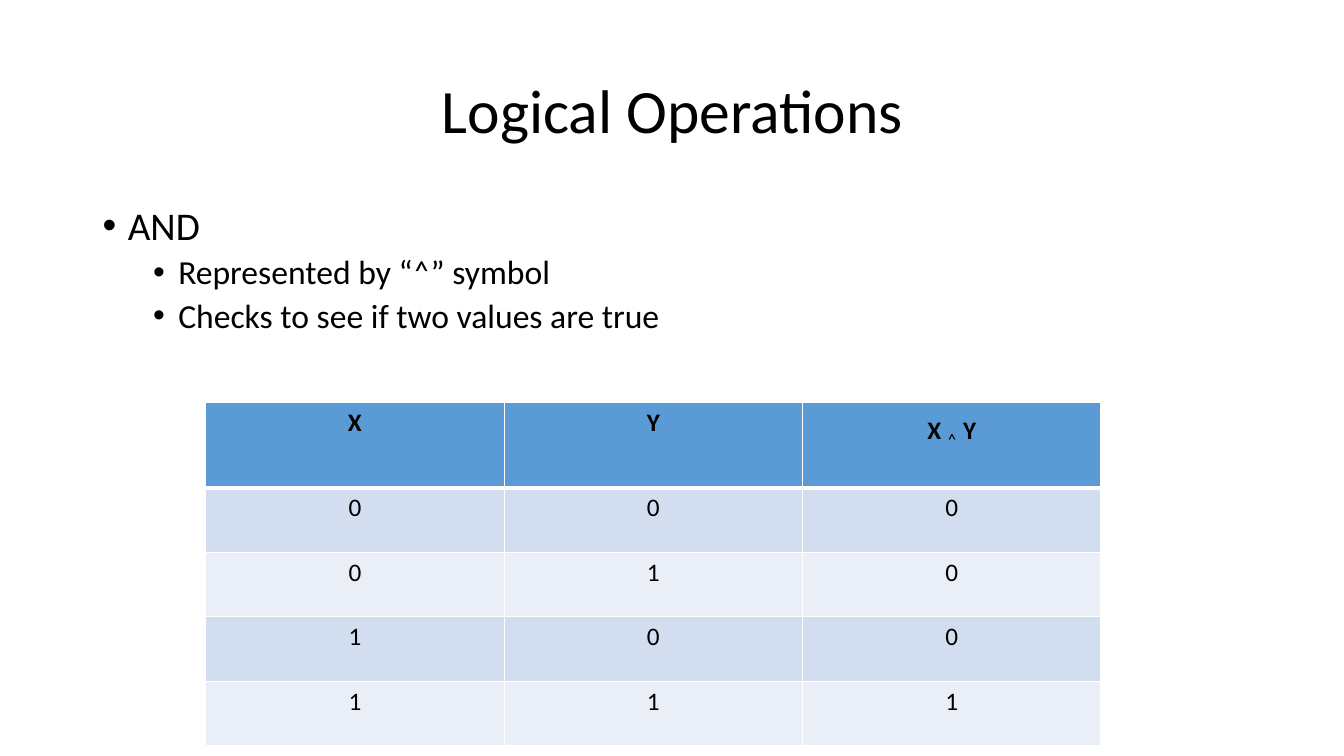
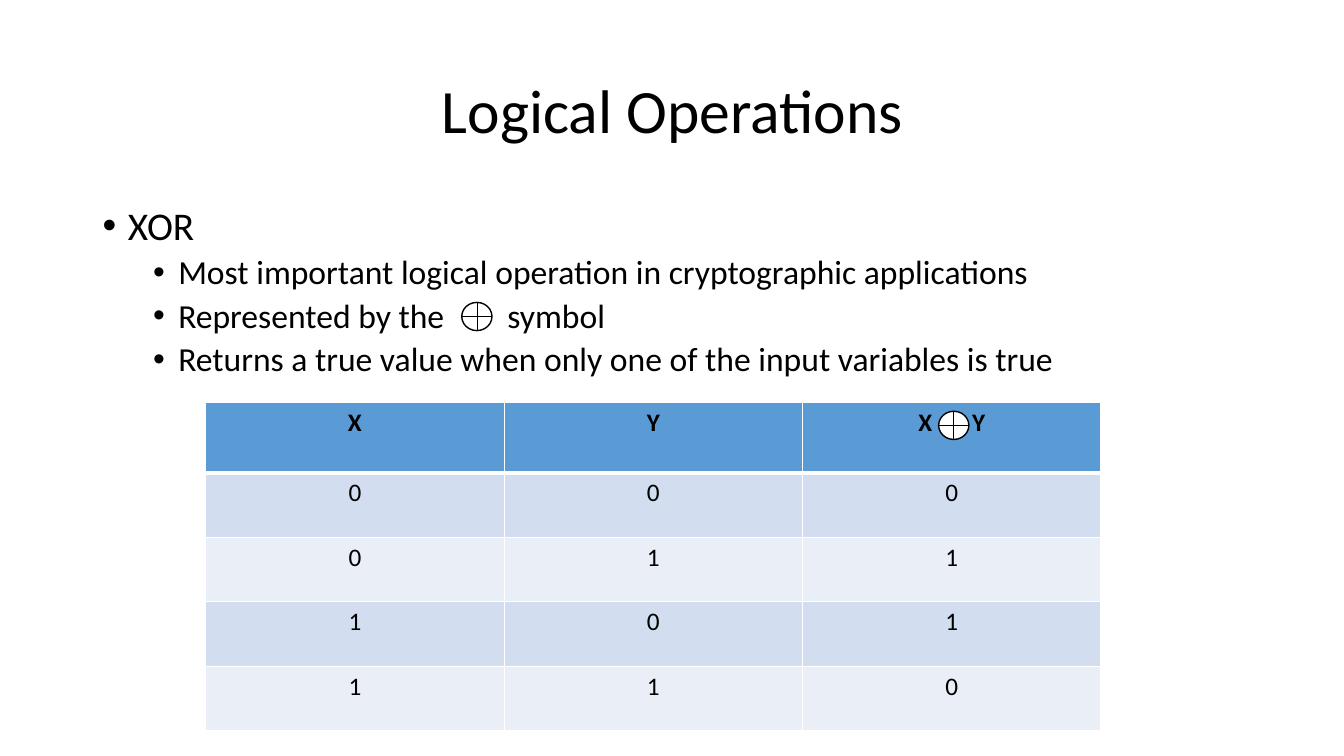
from dataclasses import dataclass

from lxml import etree
from pptx import Presentation
from pptx import util as u
from pptx.dml.color import RGBColor
from pptx.enum import shapes, text
from pptx.oxml import ns

# Shared style
FONT = "Calibri"
BLACK, WHITE = "000000", "FFFFFF"
HEADER_FILL = "5B9BD5"
BAND_FILLS = ("D2DEEF", "EAEFF7")
TITLE = "Logical Operations"
MARGIN, CONTENT_WIDTH = 0.92, 11.5
TABLE_LEFT, TABLE_TOP, COLUMN_WIDTH, ROW_HEIGHT = 2.04, 3.99, 2.96, 0.64
SYMBOL_WIDTH, SYMBOL_HEIGHT = 0.3, 0.28
INPUTS = (("0", "0"), ("0", "1"), ("1", "0"), ("1", "1"))


@dataclass(frozen=True)
class Run:
    text: str
    size: float = 18
    bold: bool = False
    baseline: int = 0  # thousandths of a percent
    spacing: int = 0  # hundredths of a point


def header(content: str, spacing: int = 0) -> Run:
    return Run(content, bold=True, spacing=spacing)


def detail(content: str, spacing: int = 0) -> Run:
    return Run(content, size=24, spacing=spacing)


@dataclass(frozen=True)
class Operation:
    name: str
    details: tuple[tuple[Run, ...], ...]
    result_header: tuple[Run, ...]
    results: tuple[str, ...]
    header_height: float
    symbols: tuple[tuple[float, float], ...] = ()


# A widely spaced blank leaves room for each circled plus
OPERATIONS = (
    Operation(
        "AND",
        (
            (detail("Represented by “˄” symbol"),),
            (detail("Checks to see if two values are true"),),
        ),
        (header("X "), Run("˄", 24, baseline=-25000), header(" Y")),
        ("0", "0", "0", "1"),
        header_height=0.85,
    ),
    Operation(
        "XOR",
        (
            (detail("Most important logical operation in cryptographic applications"),),
            (detail("Represented by the"), detail(" ", spacing=3960), detail("symbol")),
            (detail("Returns a true value when only one of the input variables is true"),),
        ),
        (header("X"), header(" ", spacing=2440), header("Y")),
        ("0", "1", "1", "0"),
        header_height=0.7,
        symbols=((4.58, 3), (9.31, 4.08)),
    ),
)


def color(value: str) -> RGBColor:
    return RGBColor.from_string(value)


def add_xml(parent, tag: str, **attributes: str):
    return etree.SubElement(parent, ns.qn(tag), attributes)


# Text
def write(paragraph, content: str, *, size: float, bold: bool = False,
          baseline: int = 0, spacing: int = 0) -> None:
    run = paragraph.add_run()
    run.text = content
    run.font.name = FONT
    run.font.size = u.Pt(size)
    run.font.bold = bold
    run.font.color.rgb = color(BLACK)
    properties = run.font._element
    if baseline:
        properties.set("baseline", str(baseline))
    if spacing:
        properties.set("spc", str(spacing))


def write_runs(paragraph, runs: tuple[Run, ...]) -> None:
    for run in runs:
        write(paragraph, run.text, size=run.size, bold=run.bold,
              baseline=run.baseline, spacing=run.spacing)


def add_text_frame(slide, top: float, height: float, anchor):
    box = slide.shapes.add_textbox(u.Inches(MARGIN), u.Inches(top),
                                   u.Inches(CONTENT_WIDTH), u.Inches(height))
    frame = box.text_frame
    frame.word_wrap = True
    frame.vertical_anchor = anchor
    return frame


def add_title(slide) -> None:
    paragraph = add_text_frame(slide, 0.4, 1.45, text.MSO_ANCHOR.MIDDLE).paragraphs[0]
    paragraph.line_spacing = 0.9
    paragraph.alignment = text.PP_ALIGN.CENTER
    write(paragraph, TITLE, size=44)


def write_bullet(paragraph, runs: tuple[Run, ...], level: int) -> None:
    paragraph.level = level
    paragraph.line_spacing = 0.9
    paragraph.space_before = u.Pt(5 if level else 10)
    properties = paragraph._p.get_or_add_pPr()
    properties.set("marL", str(u.Inches(0.25 + 0.5 * level)))
    properties.set("indent", str(u.Inches(-0.25)))
    add_xml(properties, "a:buFont", typeface="Arial")
    add_xml(properties, "a:buChar", char="•")
    write_runs(paragraph, runs)


def add_bullets(slide, operation: Operation) -> None:
    frame = add_text_frame(slide, 2, 4.76, text.MSO_ANCHOR.TOP)
    write_bullet(frame.paragraphs[0], (Run(operation.name, size=28),), 0)
    for runs in operation.details:
        write_bullet(frame.add_paragraph(), runs, 1)


# Truth table
def set_borders(cell, top: float, bottom: float) -> None:
    properties = cell._tc.get_or_add_tcPr()
    widths = {"a:lnL": 1, "a:lnR": 1, "a:lnT": top, "a:lnB": bottom}
    for position, (tag, width) in enumerate(widths.items()):
        line = add_xml(properties, tag, w=str(u.Pt(width)))
        add_xml(add_xml(line, "a:solidFill"), "a:srgbClr", val=WHITE)
        properties.insert(position, line)


def add_truth_table(slide, operation: Operation) -> None:
    rows = [((header("X"),), (header("Y"),), operation.result_header)]
    for inputs, result in zip(INPUTS, operation.results):
        rows.append(tuple((Run(value),) for value in (*inputs, result)))

    heights = [operation.header_height] + [ROW_HEIGHT] * len(INPUTS)
    table = slide.shapes.add_table(
        len(rows), 3, u.Inches(TABLE_LEFT), u.Inches(TABLE_TOP),
        u.Inches(3 * COLUMN_WIDTH), u.Inches(sum(heights))).table
    table.horz_banding = False
    for column in table.columns:
        column.width = u.Inches(COLUMN_WIDTH)

    for row_index, (row, height) in enumerate(zip(rows, heights)):
        table.rows[row_index].height = u.Inches(height)
        fill = BAND_FILLS[(row_index - 1) % 2] if row_index else HEADER_FILL
        for column_index, runs in enumerate(row):
            cell = table.cell(row_index, column_index)
            cell.fill.solid()
            cell.fill.fore_color.rgb = color(fill)
            set_borders(cell, top=3 if row_index == 1 else 1,
                        bottom=1 if row_index else 3)
            paragraph = cell.text_frame.paragraphs[0]
            paragraph.alignment = text.PP_ALIGN.CENTER
            write_runs(paragraph, runs)


# Circled plus symbol
def add_line(group, start: tuple[float, float], end: tuple[float, float]) -> None:
    connector = group.shapes.add_connector(
        shapes.MSO_CONNECTOR.STRAIGHT, *map(u.Inches, (*start, *end)))
    connector.line.color.rgb = color(BLACK)
    connector.line.width = u.Pt(0.5)
    add_xml(connector._element.spPr, "a:effectLst")


def add_xor_symbol(slide, left: float, top: float) -> None:
    group = slide.shapes.add_group_shape()
    circle = group.shapes.add_shape(
        shapes.MSO_SHAPE.OVAL, u.Inches(left), u.Inches(top),
        u.Inches(SYMBOL_WIDTH), u.Inches(SYMBOL_HEIGHT))
    circle.shadow.inherit = False
    circle.fill.solid()
    circle.fill.fore_color.rgb = color(WHITE)
    circle.line.color.rgb = color(BLACK)
    circle.line.width = u.Pt(1)
    middle_x, middle_y = left + SYMBOL_WIDTH / 2, top + SYMBOL_HEIGHT / 2
    add_line(group, (left, middle_y), (left + SYMBOL_WIDTH, middle_y))
    add_line(group, (middle_x, top), (middle_x, top + SYMBOL_HEIGHT))


def main() -> None:
    presentation = Presentation()
    presentation.slide_width = u.Inches(13.33)
    presentation.slide_height = u.Inches(7.5)
    for operation in OPERATIONS:
        slide = presentation.slides.add_slide(presentation.slide_layouts[6])
        add_title(slide)
        add_bullets(slide, operation)
        add_truth_table(slide, operation)
        for left, top in operation.symbols:
            add_xor_symbol(slide, left, top)
    presentation.save("out.pptx")


if __name__ == "__main__":
    main()
